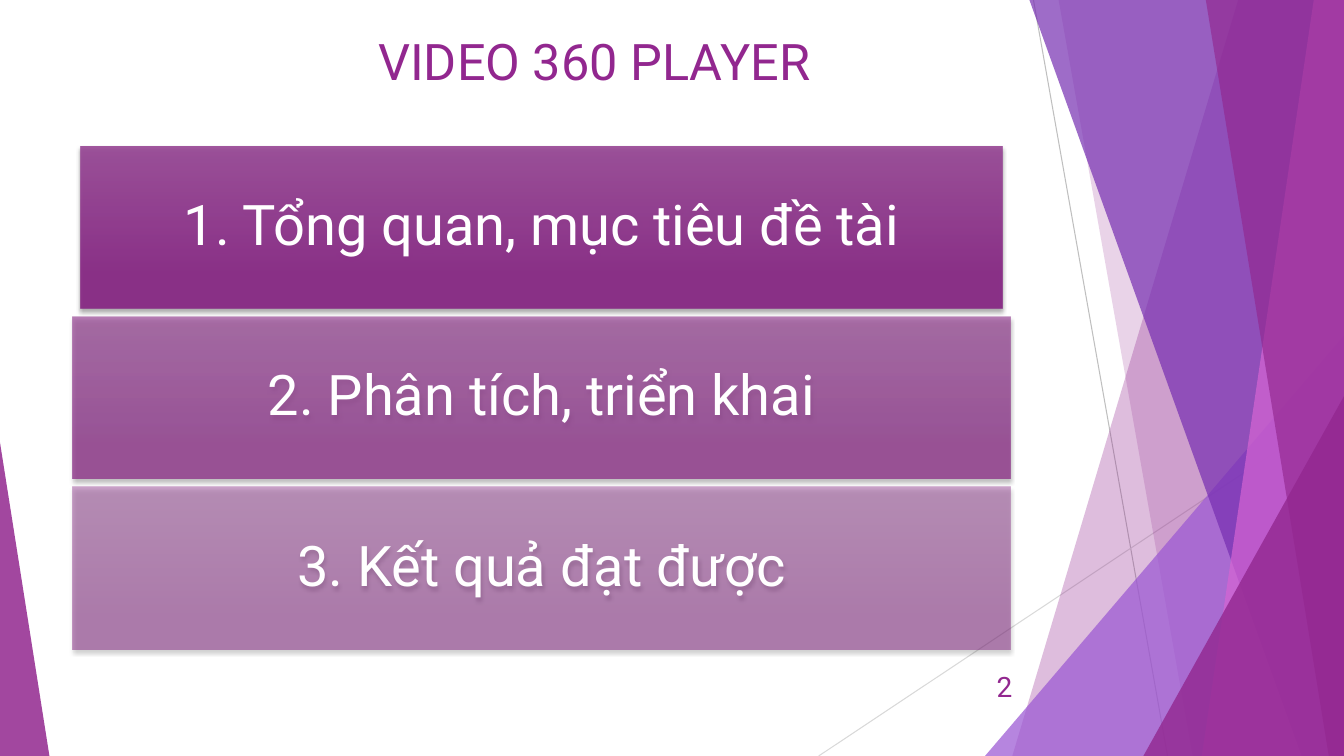
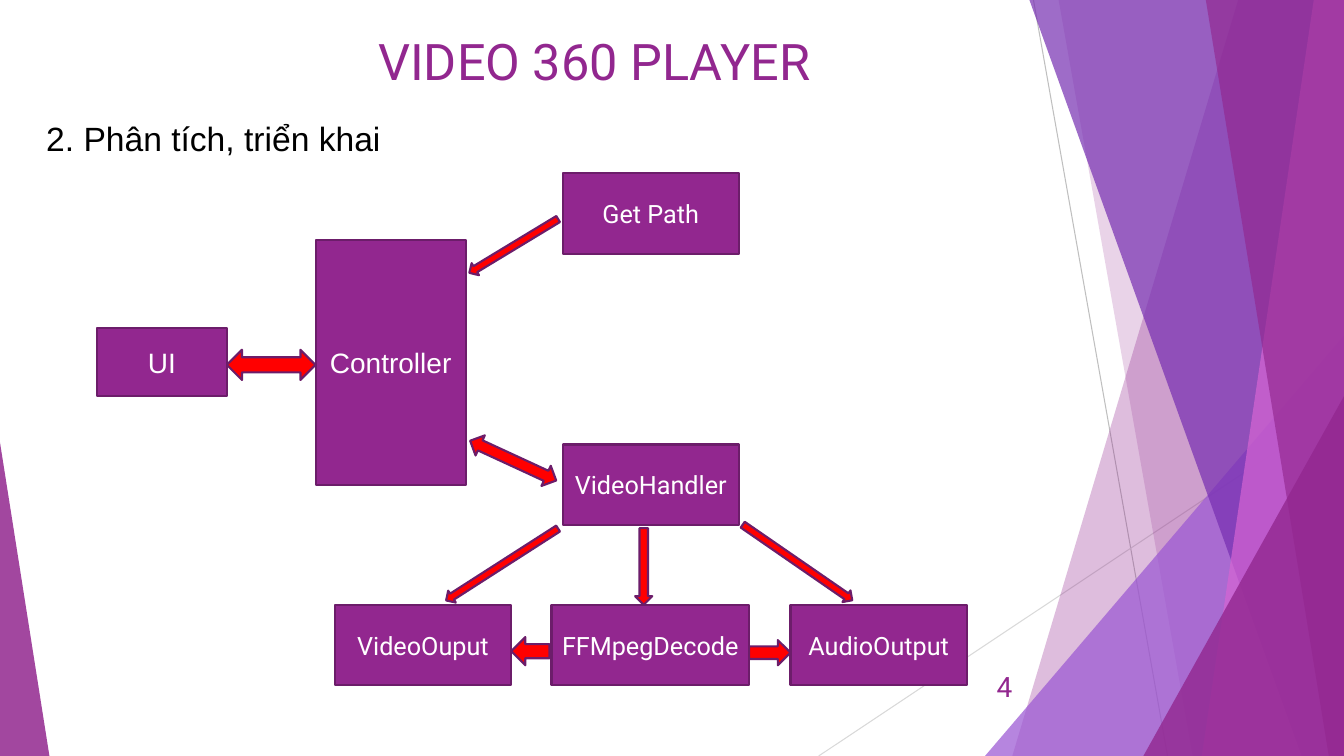
from lxml.etree import SubElement
from pptx import Presentation
from pptx.dml.color import RGBColor
from pptx.enum.shapes import MSO_CONNECTOR, MSO_SHAPE
from pptx.enum.text import MSO_ANCHOR, MSO_AUTO_SIZE, PP_ALIGN
from pptx.oxml.ns import qn
from pptx.util import Inches, Pt

PURPLE = RGBColor(0x92, 0x27, 0x8F)
DARK_PURPLE = RGBColor(0x6C, 0x1D, 0x6A)
VIOLET = RGBColor(0x76, 0x2E, 0xB1)
LAVENDER = RGBColor(0x9B, 0x57, 0xD3)
PINK = RGBColor(0xD6, 0x65, 0xD3)
BAND_TOP = RGBColor(0x98, 0x47, 0x96)
BAND_BOTTOM = RGBColor(0x86, 0x24, 0x83)
RED = RGBColor(0xFF, 0x00, 0x00)
GRAY = RGBColor(0xBF, 0xBF, 0xBF)
LIGHT_GRAY = RGBColor(0xD9, 0xD9, 0xD9)
WHITE = RGBColor(0xFF, 0xFF, 0xFF)
BLACK = RGBColor(0x00, 0x00, 0x00)

WIDTH, HEIGHT = 13.33, 7.5
HEADING = "VIDEO 360 PLAYER"


def set_opacity(shape, percent):
    """Give every fill colour of a shape the same opacity."""
    for color in shape.element.spPr.iter(qn("a:srgbClr")):
        SubElement(color, qn("a:alpha")).set("val", str(percent * 1000))


def add_shadow(shape):
    """Put a soft shadow just below a shape."""
    effects = shape.element.spPr.find(qn("a:effectLst"))
    shadow = SubElement(effects, qn("a:outerShdw"), blurRad=str(Pt(3)),
                        dist=str(Pt(2)), dir="5400000", rotWithShape="0")
    color = SubElement(shadow, qn("a:srgbClr"), val=str(BLACK))
    SubElement(color, qn("a:alpha"), val="35000")


class Deck:
    """Holds the shared style and the slide being built."""

    def __init__(self):
        """Start a wide presentation."""
        self.presentation = Presentation()
        self.presentation.slide_width = Inches(WIDTH)
        self.presentation.slide_height = Inches(HEIGHT)
        self.layout = self.presentation.slide_layouts[5]
        self.slide = None

    def new_slide(self, number):
        """Add a slide with its heading and page number."""
        self.slide = self.presentation.slides.add_slide(self.layout)
        title = self.slide.shapes.title
        title.left, title.top = Inches(1.65), Inches(0.25)
        title.width, title.height = Inches(8.49), Inches(1.08)
        self.label(title, HEADING, 36, PURPLE, anchor=MSO_ANCHOR.TOP)
        title.text_frame.auto_size = MSO_AUTO_SIZE.NONE
        self.text(str(number), 9.39, 6.61, 0.75, 0.4, 20, PURPLE,
                  align=PP_ALIGN.RIGHT, anchor=MSO_ANCHOR.MIDDLE)

    def label(self, shape, text, size, color, font="Roboto",
              align=PP_ALIGN.CENTER, anchor=MSO_ANCHOR.MIDDLE):
        """Set and format the text of a shape."""
        frame = shape.text_frame
        frame.text = text
        frame.word_wrap = True
        frame.vertical_anchor = anchor
        paragraph = frame.paragraphs[0]
        paragraph.alignment = align
        for run in paragraph.runs:
            run.font.name = font
            run.font.size = Pt(size)
            run.font.color.rgb = color

    def text(self, text, left, top, width, height, size, color,
             font="Roboto", align=PP_ALIGN.LEFT, anchor=MSO_ANCHOR.TOP):
        """Add a text box."""
        box = self.slide.shapes.add_textbox(
            Inches(left), Inches(top), Inches(width), Inches(height))
        self.label(box, text, size, color, font, align, anchor)

    def shape(self, kind, left, top, width, height, shapes=None):
        """Add a preset shape without shadow, to the slide or a group."""
        shapes = shapes or self.slide.shapes
        shape = shapes.add_shape(kind, Inches(left), Inches(top),
                                 Inches(width), Inches(height))
        shape.shadow.inherit = False
        return shape

    def tint(self, shape, color, opacity):
        """Give a backdrop shape a translucent fill and no line."""
        shape.fill.solid()
        shape.fill.fore_color.rgb = color
        set_opacity(shape, opacity)
        shape.line.fill.background()

    def hairline(self, shapes, start, end, color):
        """Add a thin backdrop line."""
        line = shapes.add_connector(MSO_CONNECTOR.STRAIGHT,
                                    *map(Inches, start + end))
        line.line.color.rgb = color
        line.line.width = Pt(0.75)
        SubElement(line.element.spPr, qn("a:effectLst"))

    def shard(self, shapes, top_left, bottom_left, color, opacity):
        """Add a shard that reaches from a slanted edge to the right side."""
        corners = [(WIDTH, 0), (WIDTH, HEIGHT), (bottom_left, HEIGHT)]
        builder = shapes.build_freeform(Inches(top_left), 0)
        builder.add_line_segments([(Inches(x), Inches(y)) for x, y in corners])
        shape = builder.convert_to_shape()
        shape.shadow.inherit = False
        self.tint(shape, color, opacity)

    def corner(self, shapes, left, top, width, apex, color, opacity):
        """Add a right triangle standing on the bottom edge."""
        shape = self.shape(MSO_SHAPE.ISOSCELES_TRIANGLE, left, top, width,
                           HEIGHT - top, shapes)
        shape.adjustments[0] = apex
        self.tint(shape, color, opacity)

    def backdrop(self):
        """Draw the shared backdrop and move it to the layout."""
        group = self.slide.shapes.add_group_shape()
        shapes = group.shapes
        self.hairline(shapes, (10.25, 0), (11.58, HEIGHT), GRAY)
        self.hairline(shapes, (WIDTH, 4.03), (8.12, HEIGHT), LIGHT_GRAY)
        self.shard(shapes, 12.28, 10.04, PURPLE, 30)
        self.shard(shapes, 10.5, 11.83, PURPLE, 20)
        self.corner(shapes, 9.77, 3.33, 3.56, 1, LAVENDER, 72)
        self.shard(shapes, 10.21, 12.91, VIOLET, 70)
        self.shard(shapes, 13.03, 11.92, PINK, 70)
        self.shard(shapes, 11.96, 13.18, PURPLE, 65)
        self.corner(shapes, 11.34, 3.93, 1.99, 1, PURPLE, 80)
        self.corner(shapes, 0, 4.39, 0.49, 0, PURPLE, 85)
        for number, properties in enumerate(group.element.iter(qn("p:cNvPr")), 100):
            properties.set("id", str(number))
        self.layout.element.cSld.spTree.append(group.element)

    def band(self, text, top, width, opacity):
        """Add a gradient agenda band centred on the content area."""
        shape = self.shape(MSO_SHAPE.RECTANGLE, 5.37 - width / 2, top, width, 1.61)
        shape.fill.gradient()
        shape.fill.gradient_angle = 270
        stops = zip(shape.fill.gradient_stops, (BAND_TOP, BAND_BOTTOM), (0, 0.78))
        for stop, color, position in stops:
            stop.color.rgb = color
            stop.position = position
        set_opacity(shape, opacity)
        shape.line.fill.background()
        add_shadow(shape)
        self.label(shape, text, 40, WHITE)
        shape.text_frame.paragraphs[0].line_spacing = 0.9

    def outlined(self, shape, color):
        """Fill a diagram shape and give it the diagram outline."""
        shape.fill.solid()
        shape.fill.fore_color.rgb = color
        shape.line.color.rgb = DARK_PURPLE
        shape.line.width = Pt(1.5)

    def box(self, text, left, top, width=1.75, height=0.8, size=18, font="Roboto"):
        """Add a labelled component box."""
        shape = self.shape(MSO_SHAPE.RECTANGLE, left, top, width, height)
        self.outlined(shape, PURPLE)
        self.label(shape, text, size, WHITE, font)
        shape.text_frame.word_wrap = False

    def arrow(self, kind, left, top, width, height, rotation=0):
        """Add a red block arrow."""
        shape = self.shape(kind, left, top, width, height)
        self.outlined(shape, RED)
        shape.rotation = rotation


def build_agenda(deck):
    """Build the agenda slide."""
    deck.new_slide(2)
    deck.backdrop()
    bands = [("1. Tổng quan, mục tiêu đề tài", 9.15, 90),
             ("2. Phân tích, triển khai", 9.3, 70),
             ("3. Kết quả đạt được", 9.3, 50)]
    for index, (text, width, opacity) in enumerate(bands):
        deck.band(text, 1.45 + index * 1.69, width, opacity)


def build_architecture(deck):
    """Build the component diagram slide."""
    deck.new_slide(4)
    deck.text("2. Phân tích, triển khai", 0.36, 1.12, 4.55, 0.5, 24, BLACK, "Arial")

    deck.box("UI", 0.96, 3.25, 1.29, 0.68, 20, "Arial")
    deck.box("Controller", 3.13, 2.38, 1.49, 2.43, 20, "Arial")
    handler_left, output_top = 5.58, 6
    deck.box("Get Path", handler_left, 1.72)
    deck.box("VideoHandler", handler_left, 4.41)
    deck.box("VideoOuput", 3.32, output_top)
    deck.box("FFMpegDecode", 5.47, output_top, 1.96)
    deck.box("AudioOutput", 7.84, output_top)

    arrows = [
        (MSO_SHAPE.LEFT_RIGHT_ARROW, 2.25, 3.47, 0.88, 0.3),
        (MSO_SHAPE.RIGHT_ARROW, 4.58, 2.37, 1.03, 0.14, 148.8),
        (MSO_SHAPE.LEFT_RIGHT_ARROW, 4.62, 4.46, 0.94, 0.22, 24.8),
        (MSO_SHAPE.RIGHT_ARROW, 4.32, 5.53, 1.32, 0.14, 147.3),
        (MSO_SHAPE.DOWN_ARROW, 6.3, 5.24, 0.17, 0.76),
        (MSO_SHAPE.RIGHT_ARROW, 7.25, 5.51, 1.32, 0.14, 34.6),
        (MSO_SHAPE.RIGHT_ARROW, 7.43, 6.35, 0.41, 0.25),
        (MSO_SHAPE.LEFT_ARROW, 5.07, 6.32, 0.38, 0.28),
    ]
    for arrow in arrows:
        deck.arrow(*arrow)


deck = Deck()
build_agenda(deck)
build_architecture(deck)
deck.presentation.save("out.pptx")
